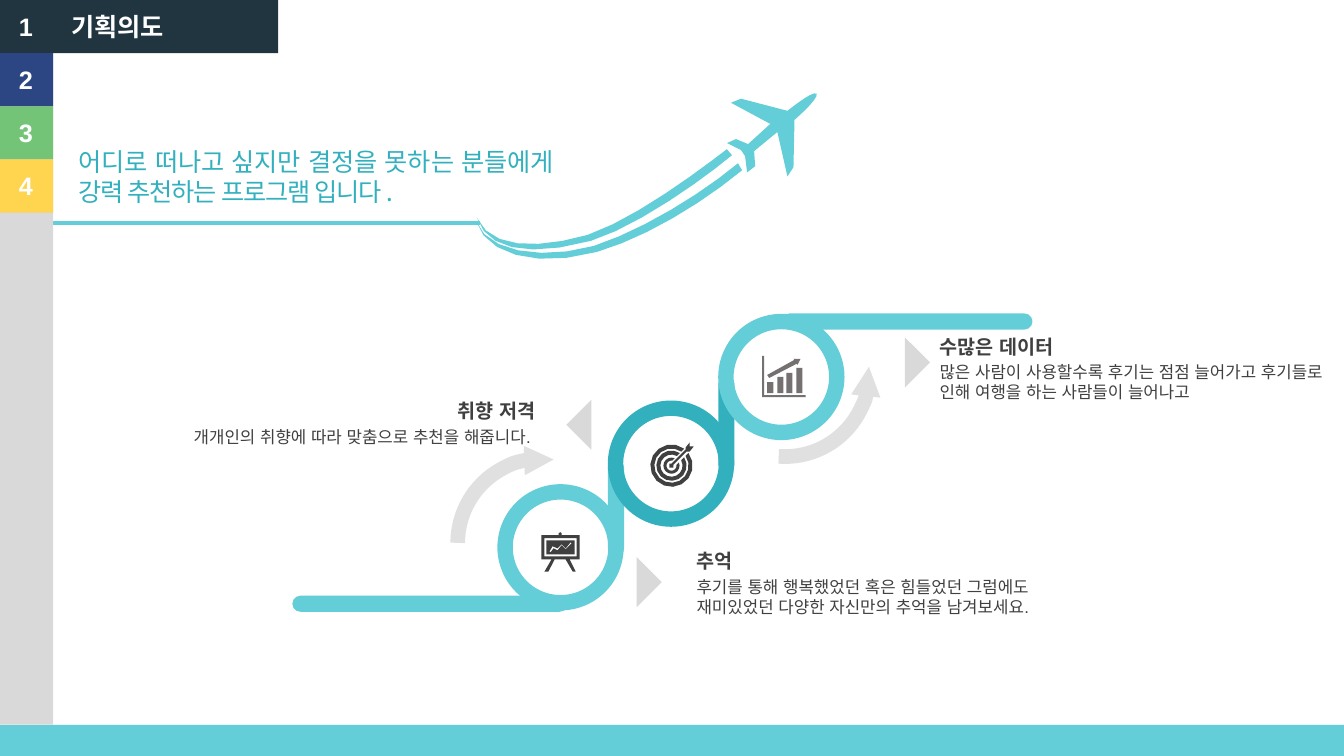
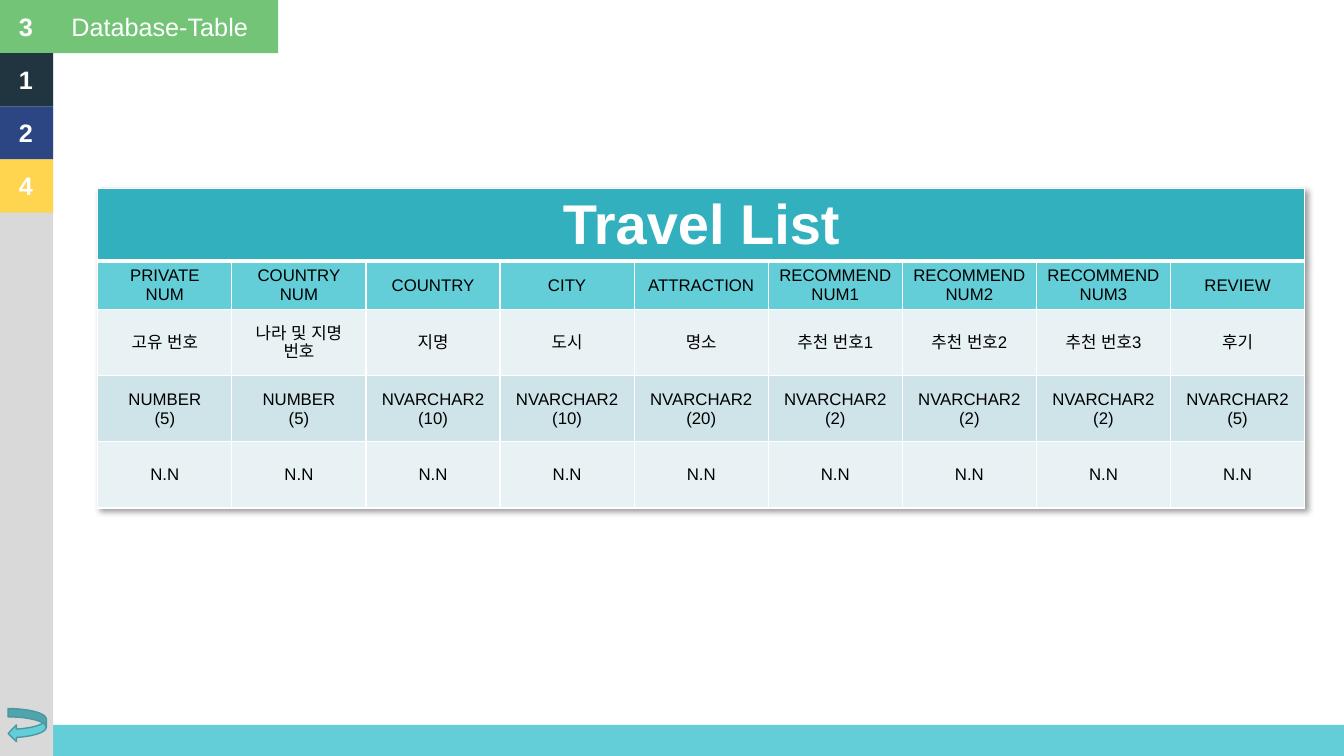
from dataclasses import dataclass
from math import asin, cos, pi, sin

from lxml.etree import SubElement
from pptx import Presentation
from pptx.dml.color import RGBColor
from pptx.enum.shapes import MSO_CONNECTOR as Link, MSO_SHAPE as Kind
from pptx.enum.text import MSO_ANCHOR as Anchor, MSO_AUTO_SIZE as Fit, PP_ALIGN as Align
from pptx.oxml.ns import qn
from pptx.util import Inches, Pt

WIDE, HIGH = 13.33, 7.5
UNIT = 2.11 / 4
FOOT = 7.19
AQUA, TEAL, GREY, INK, WHITE, BLACK = "64CED8", "32B0BE", "D9D9D9", "404040", "FFFFFF", "000000"
TABS = {"1": "213540", "2": "2B4682", "3": "74C478", "4": "FFD44E"}
Point = tuple[float, float]


@dataclass(frozen=True)
class Note:
    left: float
    top: float
    width: float
    head: str
    body: str
    rows: int = 2
    align: Align = Align.LEFT


@dataclass(frozen=True)
class Sweep:
    left: float
    top: float
    turn: float
    end: str


NOTES = [
    Note(9.22, 3.27, 4.02, "수많은 데이터",
         "많은 사람이 사용할수록 후기는 점점 늘어가고 후기들로 인해 여행을 하는 사람들이 늘어나고"),
    Note(1.45, 3.91, 3.96, "취향 저격", "개개인의 취향에 따라 맞춤으로 추천을 해줍니다. ", 1, Align.RIGHT),
    Note(6.81, 5.4, 4.02, "추억",
         "후기를 통해 행복했었던 혹은 힘들었던 그럼에도 재미있었던 다양한 자신만의 추억을 남겨보세요."),
]
SWEEPS = [Sweep(6.95, 2.86, 86.2, "a:headEnd"), Sweep(4.54, 4.55, 270, "a:tailEnd")]
WEDGES = [(5.69, 4.04, 45), (8.8, 3.42, 225), (6.14, 5.6, 225)]
STEPS = [(4.88, AQUA), (4.05, TEAL), (3.19, AQUA)]

PLANE = """M 7.41 1.71 L 7.39 1.55 7.35 1.49 7.21 1.42 7.3 1.38 7.42 1.43
 7.64 1.23 7.25 1.02 7.35 0.98 7.81 1.1 C 7.9 1.03 8.07 0.9 8.1 0.93 8.12 0.97 7.96 1.12 7.88 1.19
 L 7.87 1.66 7.81 1.75 7.71 1.31 7.48 1.5 7.49 1.65"""
TRAILS = [
    """M 7.26 1.54 C 7 1.76 6.32 2.25 5.86 2.39 5.19 2.57 4.82 2.45 4.73 2.16
 4.86 2.46 5.31 2.48 5.83 2.33 6.3 2.17 6.95 1.68 7.21 1.48""",
    """M 7.36 1.69 C 6.96 2.02 6.4 2.36 5.92 2.5 5.29 2.67 4.81 2.51 4.72 2.19
 4.82 2.49 5.35 2.59 5.89 2.44 6.38 2.28 6.96 1.92 7.32 1.62""",
]
BOARD = """M 5.37 5.31 L 5.54 5.31 5.54 5.29 5.56 5.28 5.57 5.29 5.57 5.31 5.75 5.31
 5.75 5.55 5.65 5.55 5.71 5.67 5.68 5.67 5.61 5.55 5.5 5.55 5.44 5.67 5.4 5.67 5.47 5.55 5.37 5.55
 M 5.4 5.34 L 5.4 5.52 5.72 5.52 5.72 5.34 M 5.42 5.36 L 5.7 5.36 5.7 5.5 5.42 5.5
 M 5.45 5.47 L 5.48 5.42 5.53 5.44 5.57 5.4 5.61 5.44 5.66 5.38 5.67 5.39 5.61 5.45 5.57 5.41
 5.53 5.46 5.49 5.44 5.46 5.48"""
CHART = """M 7.56 3.53 L 7.58 3.53 7.58 3.92 7.99 3.92 7.99 3.94 7.56 3.94
 M 7.87 3.56 L 7.94 3.56 7.91 3.62 7.9 3.61 7.63 3.75 7.61 3.72 7.88 3.57"""
BARS = [(7.61, 3.79), (7.71, 3.74), (7.8, 3.7), (7.9, 3.65)]
DART = """M 6.84 4.39 L 6.84 4.43 6.88 4.43 6.84 4.48 6.81 4.48 6.68 4.61 6.68 4.64 6.64 4.64
 6.64 4.6 6.66 4.6 6.8 4.46 6.8 4.44"""
BANDS = [(0.21, 0.17), (0.15, 0.11), (0.08, 0.05)]

FIELDS = [
    ("PRIVATE\nNUM", "고유 번호", "NUMBER\n(5)"),
    ("COUNTRY\nNUM", "나라 및 지명 번호", "NUMBER\n(5)"),
    ("COUNTRY", "지명", "NVARCHAR2 (10)"),
    ("CITY", "도시", "NVARCHAR2 (10)"),
    ("ATTRACTION", "명소", "NVARCHAR2 (20)"),
    ("RECOMMEND\nNUM1", "추천 번호1", "NVARCHAR2\n(2)"),
    ("RECOMMEND\nNUM2", "추천 번호2", "NVARCHAR2\n(2)"),
    ("RECOMMEND\nNUM3", "추천 번호3", "NVARCHAR2 (2)"),
    ("REVIEW", "후기", "NVARCHAR2\n(5)"),
]
BODY = 1.97 / 3
ROWS = [(0.42, TEAL), (0.48, AQUA), (BODY, "E8F2F4"), (BODY, "CEE4E8"), (BODY, "E8F2F4")]


def rgb(code: str) -> RGBColor:
    return RGBColor.from_string(code)


def paint(item, fill: str | None = None, edge: str | None = None, size: float = 1) -> None:
    item.shadow.inherit = False
    if fill:
        item.fill.solid()
        item.fill.fore_color.rgb = rgb(fill)
    else:
        item.fill.background()
    if edge:
        item.line.width = Pt(size)
        item.line.color.rgb = rgb(edge)
    else:
        item.line.fill.background()


def shape(slide, kind: Kind, box: tuple, fill: str | None = None, edge: str | None = None,
          size: float = 1, turn: float = 0):
    item = slide.shapes.add_shape(kind, *map(Inches, box))
    paint(item, fill, edge, size)
    item.rotation = turn
    return item


def style(run, tint: str, **form) -> None:
    values = {"name": "Arial", "bold": False} | form
    values["size"] = Pt(values["size"])
    for key, value in values.items():
        setattr(run.font, key, value)
    run.font.color.rgb = rgb(tint)
    SubElement(run.font._element, qn("a:ea"), typeface="Arial")


def write(frame, words: str, tint: str, align: Align = Align.LEFT, **form) -> None:
    """Put each line of words in its own paragraph."""
    for i, line in enumerate(words.split("\n")):
        para = frame.add_paragraph() if i else frame.paragraphs[0]
        para.alignment = align
        run = para.add_run()
        run.text = line
        style(run, tint, **form)


def label(slide, box: tuple, words: str, tint: str, wrap: bool = True, **form):
    frame = slide.shapes.add_textbox(*map(Inches, box)).text_frame
    frame.word_wrap = wrap
    frame.auto_size = Fit.SHAPE_TO_FIT_TEXT
    write(frame, words, tint, **form)
    return frame


def trace(text: str) -> list[list[Point]]:
    """Turn M, L and C commands into outlines, with curves cut into short lines."""
    loops: list[list[Point]] = []
    mode, nums = "", []
    for token in text.split():
        if token in "MLC":
            mode = token
            continue
        nums.append(float(token))
        if len(nums) < (6 if mode == "C" else 2):
            continue
        if mode == "M":
            loops.append([(nums[0], nums[1])])
        elif mode == "L":
            loops[-1].append((nums[0], nums[1]))
        else:
            loops[-1] += bend(loops[-1][-1], nums)
        nums = []
    return loops


def bend(start: Point, nums: list[float], steps: int = 6) -> list[Point]:
    xs, ys = [start[0], *nums[::2]], [start[1], *nums[1::2]]
    points = []
    for i in range(1, steps + 1):
        t = i / steps
        parts = ((1 - t) ** 3, 3 * t * (1 - t) ** 2, 3 * t * t * (1 - t), t ** 3)
        points.append((sum(p * x for p, x in zip(parts, xs)),
                       sum(p * y for p, y in zip(parts, ys))))
    return points


def arc(radius: float, gap: float = 0.03, steps: int = 14) -> list[Point]:
    """Circle the target's centre, leaving a gap for the dart at the upper right."""
    skip = asin(gap / radius)
    turns = [skip - pi / 4 + (2 * pi - 2 * skip) * i / steps for i in range(steps + 1)]
    return [(6.66 + radius * cos(a), 4.62 + radius * sin(a)) for a in turns]


def draw(slide, loops: list[list[Point]], fill: str) -> None:
    pen = None
    for loop in loops:
        first, *rest = [(Inches(x), Inches(y)) for x, y in loop]
        if pen is None:
            pen = slide.shapes.build_freeform(*first)
        else:
            pen.move_to(*first)
        pen.add_line_segments(rest, close=True)
    paint(pen.convert_to_shape(), fill)


def page(deck):
    slide = deck.slides.add_slide(deck.slide_layouts[6])
    shape(slide, Kind.RECTANGLE, (0, FOOT, WIDE, HIGH - FOOT), AQUA)
    return slide


def menu(slide, active: str, title: str, depth: float, bold: bool) -> None:
    """Draw the side bar with the active tab first and widened for the title."""
    shape(slide, Kind.RECTANGLE, (0, 0, UNIT, depth), GREY)
    order = [active] + [key for key in TABS if key != active]
    for row, key in enumerate(order):
        top = row * UNIT
        width = UNIT if row else 2.76
        shape(slide, Kind.RECTANGLE, (0, top, width, UNIT), TABS[key])
        label(slide, (UNIT / 6, top + 0.06, 0.35, 0.4), key, WHITE, False, size=18, bold=True)
    label(slide, (0.61, 0.06, 1.97, 0.4), title, WHITE, False, size=18, bold=bold)


def flight(slide) -> None:
    frame = label(slide, (0.68, 1.4, 5.45, 0.71),
                  "어디로 떠나고 싶지만 결정을 못하는 분들에게\n강력 추천하는 프로그램 입니다.", TEAL, size=18)
    last = frame.paragraphs[1].runs[0]
    last.font.name = "Noto Sans Mono"
    last.font._element.set("spc", "-90")
    for text in (PLANE, *TRAILS):
        draw(slide, trace(text), AQUA)


def climb(slide) -> None:
    """Draw the three rings rising to the right and the rods that join them."""
    side, rod = 1.1, 0.16
    for i, (top, tint) in enumerate(STEPS):
        left = 5.01 + 1.095 * i
        shape(slide, Kind.OVAL, (left, top, side, side), None, tint, 11)
        if i < 2:
            box = (left + side - rod / 2, top - 0.32, rod, 0.96)
            shape(slide, Kind.ROUNDED_RECTANGLE, box, tint).adjustments[0] = 0.5
    for box in ((7.75, 3.11, 2.49, rod), (2.9, 5.91, 2.73, rod)):
        shape(slide, Kind.ROUNDED_RECTANGLE, box, AQUA).adjustments[0] = 0.5


def swing(slide, part: Sweep) -> None:
    item = shape(slide, Kind.ARC, (part.left, part.top, 1.67, 1.67), None, GREY, 10.5, part.turn)
    item.adjustments[0], item.adjustments[1] = 162, 4.809
    line = item._element.spPr.find(qn("a:ln"))
    SubElement(line.find(".//" + qn("a:srgbClr")), qn("a:alpha"), val="80000")
    SubElement(line, qn(part.end), type="triangle", w="sm", len="sm")


def icons(slide) -> None:
    draw(slide, trace(BOARD), INK)
    draw(slide, [arc(far) + arc(near)[::-1] for far, near in BANDS] + trace(DART), INK)
    bars = [[(x, y), (x + 0.06, y), (x + 0.06, 3.9), (x, 3.9)] for x, y in BARS]
    draw(slide, trace(CHART) + bars, "767171")


def intent(deck) -> None:
    slide = page(deck)
    line = slide.shapes.add_connector(Link.STRAIGHT, 0, Inches(2.21), Inches(4.76), Inches(2.21))
    line.line.width = Pt(3)
    line.line.color.rgb = rgb(AQUA)
    SubElement(line._element.spPr, qn("a:effectLst"))
    menu(slide, "1", "기획의도", FOOT, True)
    flight(slide)
    climb(slide)
    for part in SWEEPS:
        swing(slide, part)
    for left, top, turn in WEDGES:
        shape(slide, Kind.RIGHT_TRIANGLE, (left, top, 0.35, 0.35), GREY, turn=turn)
    for note in NOTES:
        label(slide, (note.left, note.top, note.width, 0.34), note.head, INK,
              align=note.align, size=14, bold=True)
        label(slide, (note.left, note.top + 0.27, note.width, 0.1 + 0.2 * note.rows), note.body,
              INK, align=note.align, size=12)
    icons(slide)


def rule(cell, low: float) -> None:
    """Give the cell white borders, the bottom one low points wide."""
    for side in "LRTB":
        size = Pt(low if side == "B" else 1)
        line = SubElement(cell._tc.get_or_add_tcPr(), qn(f"a:ln{side}"), w=str(size))
        SubElement(SubElement(line, qn("a:solidFill")), qn("a:srgbClr"), val=WHITE)


def shade(table) -> None:
    props = table._tbl.tblPr
    effect = SubElement(props, qn("a:effectLst"))
    props.insert(0, effect)
    cast = SubElement(effect, qn("a:outerShdw"), blurRad="50800", dist="38100", dir="2700000",
                      algn="tl", rotWithShape="0")
    tint = SubElement(cast, qn("a:prstClr"), val="black")
    SubElement(tint, qn("a:alpha"), val="40000")


def schema(deck) -> None:
    slide = page(deck)
    count = len(FIELDS)
    box = map(Inches, (0.97, 1.87, 11.97, 3.23))
    table = slide.shapes.add_table(len(ROWS), count, *box).table
    table.horz_banding = False
    shade(table)
    table.cell(0, 0).merge(table.cell(0, count - 1))
    for r, (height, tint) in enumerate(ROWS):
        table.rows[r].height = Inches(height)
        for c, field in enumerate(FIELDS):
            cell = table.cell(r, c)
            rule(cell, 1 if r else 3)
            cell.fill.solid()
            cell.fill.fore_color.rgb = rgb(tint)
            cell.vertical_anchor = Anchor.MIDDLE
            if r:
                write(cell.text_frame, (*field, "N.N")[r - 1], BLACK, Align.CENTER, size=12)
    write(table.cell(0, 0).text_frame, "Travel List", WHITE, Align.CENTER, size=40, bold=True)
    menu(slide, "3", "Database-Table", HIGH, False)
    shape(slide, Kind.CURVED_LEFT_ARROW, (0.08, 7.03, 0.38, 0.33), AQUA, "4A98A0")


def main() -> None:
    deck = Presentation()
    deck.slide_width, deck.slide_height = Inches(WIDE), Inches(HIGH)
    intent(deck)
    schema(deck)
    deck.save("out.pptx")


if __name__ == "__main__":
    main()
